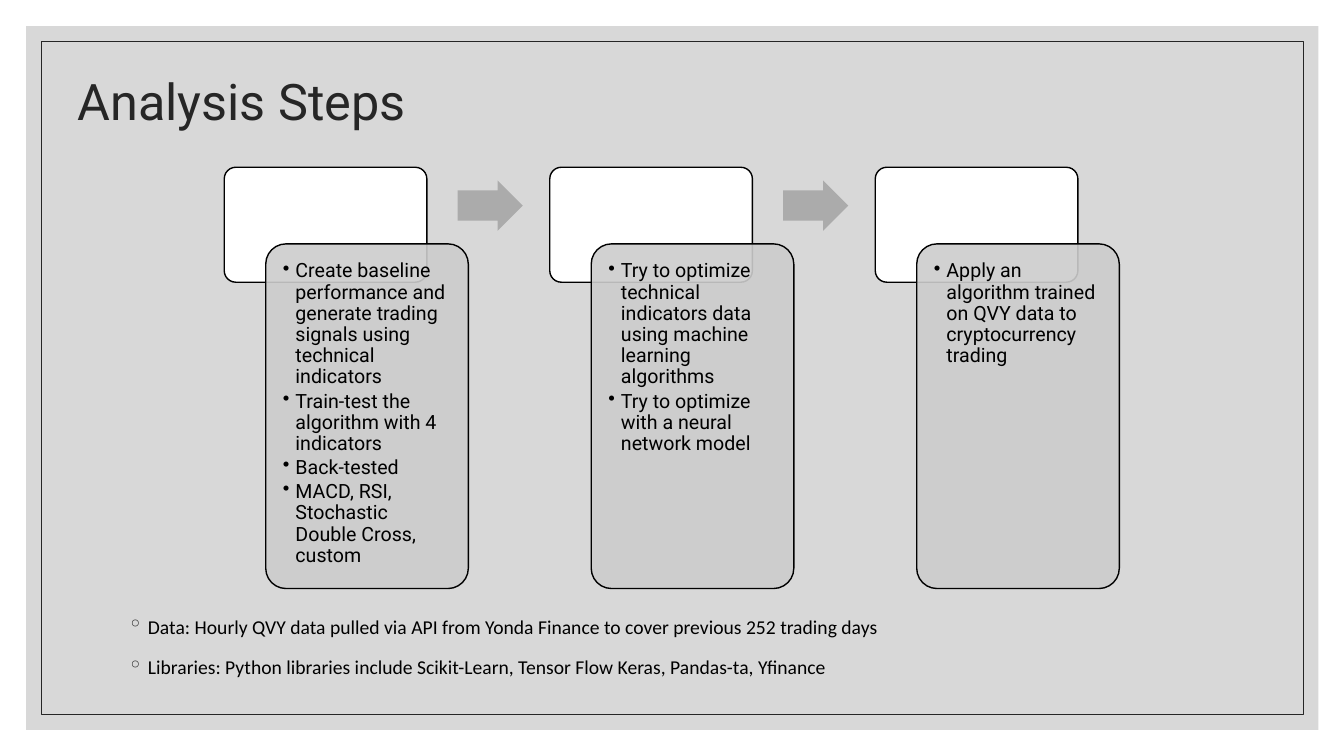
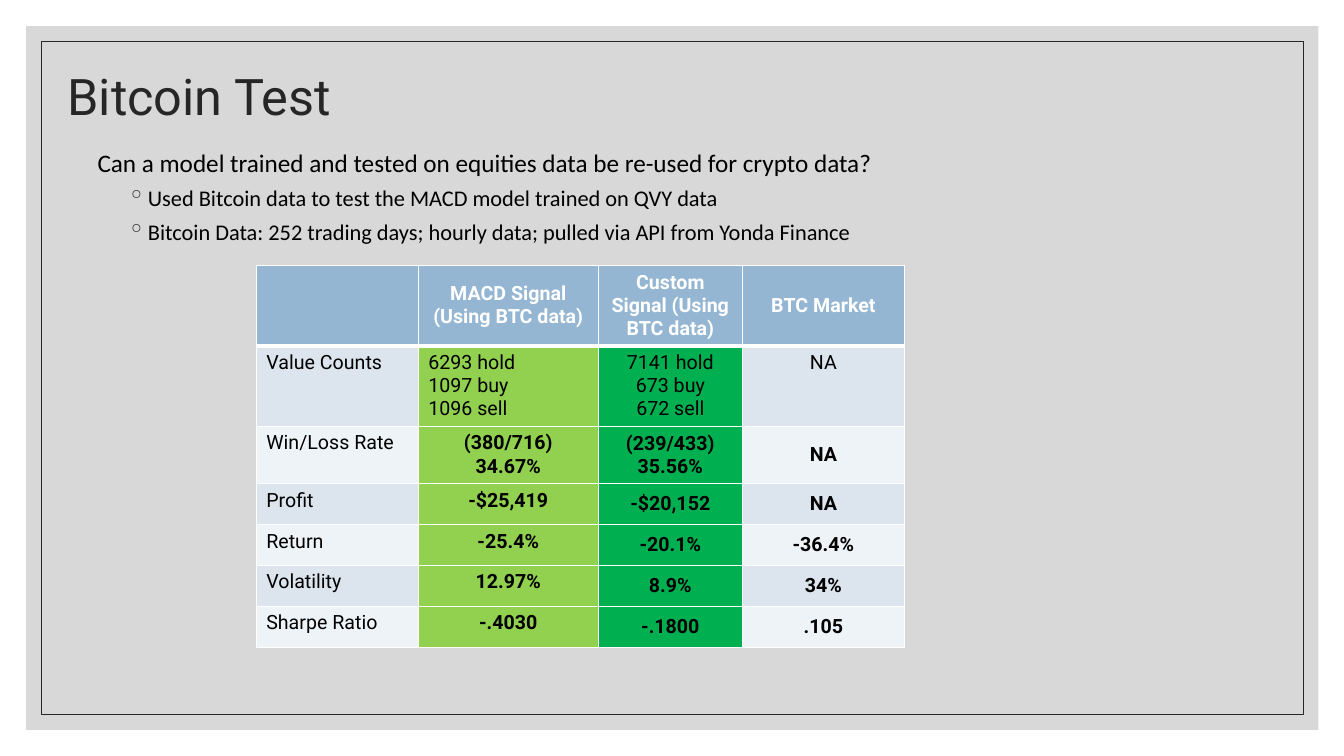
import pptx
import pptx.chart.data
import pptx.dml.color
import pptx.enum.shapes
import pptx.enum.text
import pptx.oxml.ns
import pptx.util
from lxml import etree

Pt = pptx.util.Pt
qn = pptx.oxml.ns.qn
RGB = pptx.dml.color.RGBColor.from_string
SHAPE = pptx.enum.shapes.MSO_SHAPE
ALIGN = pptx.enum.text.PP_ALIGN
ANCHOR = pptx.enum.text.MSO_ANCHOR

COLORS = {
    "black": "000000",
    "white": "FFFFFF",
    "ink": "262626",
    "backdrop": "BFBFBF",
    "detail": "CCCCCC",
    "arrow": "ABABAB",
    "header": "94B6D2",
    "band_dark": "DCE5EE",
    "band_light": "EEF3F7",
    "macd": "92D050",
    "custom": "00B050",
}


def add_panel(slide, preset, left, top, width, height, fill=None, line=None, weight=1, opacity=100):
    panel = slide.shapes.add_shape(preset, Pt(left), Pt(top), Pt(width), Pt(height))
    panel.shadow.inherit = False
    if fill:
        panel.fill.solid()
        panel.fill.fore_color.rgb = RGB(COLORS[fill])
        if opacity < 100:
            tint = panel.element.spPr.find(qn("a:solidFill"))[0]
            etree.SubElement(tint, qn("a:alpha"), val=str(opacity * 1000))
    else:
        panel.fill.background()
    if line:
        panel.line.color.rgb = RGB(COLORS[line])
        panel.line.width = Pt(weight)
    else:
        panel.line.fill.background()
    return panel


def write_line(frame, text, font, size, spacing, before=0, after=0, mark=None, margin=0, hanging=0, mark_color="ink"):
    line = frame.paragraphs[0] if not frame.text else frame.add_paragraph()
    line.text = text
    line.alignment = ALIGN.LEFT
    line.line_spacing = spacing
    line.space_before = Pt(before)
    line.space_after = Pt(after)
    if mark:
        properties = line._p.get_or_add_pPr()
        properties.set("marL", str(Pt(margin)))
        properties.set("indent", str(-Pt(hanging)))
        mark_fill = etree.SubElement(properties, qn("a:buClr"))
        etree.SubElement(mark_fill, qn("a:srgbClr"), val=COLORS[mark_color])
        etree.SubElement(properties, qn("a:buChar"), char=mark)
    line.font.name = font
    line.font.size = Pt(size)
    line.font.color.rgb = RGB(COLORS["black"])


prs = pptx.Presentation()
prs.slide_width = Pt(960)
prs.slide_height = Pt(540)

slides = []
for heading, left, top in [("Analysis Steps", 48.2, 20.2), ("Bitcoin Test", 41, 16.6)]:
    slide = prs.slides.add_slide(prs.slide_layouts[5])
    title = slide.shapes.title
    title.left, title.top, title.width, title.height = Pt(left), Pt(top), Pt(792), Pt(108)
    title.text_frame.text = heading
    title.text_frame.vertical_anchor = ANCHOR.MIDDLE
    title_line = title.text_frame.paragraphs[0]
    title_line.alignment = ALIGN.LEFT
    title_line.line_spacing = 0.9
    title_line.font.name = "Roboto"
    title_line.font.size = Pt(36)
    title_line.font.color.rgb = RGB(COLORS["ink"])
    slides.append(slide)
steps_slide, test_slide = slides

backdrop = add_panel(steps_slide, SHAPE.RECTANGLE, 18.7, 18.7, 923, 502.6, fill="backdrop", opacity=60)
border = add_panel(steps_slide, SHAPE.RECTANGLE, 29.5, 29.5, 901.4, 481, line="ink", weight=0.5)
for depth, panel in enumerate([backdrop, border]):
    panel.element.nvSpPr.cNvPr.set("id", str(100 + depth))
    prs.slide_master.shapes.element.insert(2 + depth, panel.element)

steps = [
    [
        "Create baseline performance and generate trading signals using technical indicators",
        "Train-test the algorithm with 4 indicators",
        "Back-tested",
        "MACD, RSI, Stochastic Double Cross, custom",
    ],
    [
        "Try to optimize technical indicators data using machine learning algorithms",
        "Try to optimize with a neural network model",
    ],
    ["Apply an algorithm trained on QVY data to cryptocurrency trading"],
]
step_left, step_pitch = 160.2, 232.5
for number, points in enumerate(steps):
    left = step_left + number * step_pitch
    header = add_panel(steps_slide, SHAPE.ROUNDED_RECTANGLE, left, 119.5, 144.7, 82.1, "white", "black")
    detail = add_panel(
        steps_slide, SHAPE.ROUNDED_RECTANGLE, left + 29.6, 174.2, 144.7, 246.2, "detail", "black", opacity=90
    )
    header.adjustments[0] = detail.adjustments[0] = 0.1
    frame = detail.text_frame
    frame.word_wrap = True
    frame.vertical_anchor = ANCHOR.TOP
    frame.margin_left = frame.margin_top = frame.margin_right = frame.margin_bottom = Pt(8)
    for point in points:
        write_line(frame, point, "Roboto", 14, 0.9, after=2.1, mark="•", margin=9, hanging=9, mark_color="black")
    if number < len(steps) - 1:
        arrow = add_panel(steps_slide, SHAPE.RIGHT_ARROW, left + 166.7, 128.9, 46.6, 36, "arrow")
        arrow.adjustments[0] = 0.6

sources = steps_slide.shapes.add_textbox(Pt(84.2), Pt(432), Pt(792), Pt(74)).text_frame
sources.word_wrap = True
for text in [
    "Data: Hourly QVY data pulled via API from Yonda Finance to cover previous 252 trading days",
    "Libraries: Python libraries include Scikit-Learn, Tensor Flow Keras, Pandas-ta, Yfinance",
]:
    write_line(sources, text, "Calibri", 14, 1.2, before=9, mark="◦", margin=14.4, hanging=14.4)

question = test_slide.shapes.add_textbox(Pt(62.6), Pt(97.2), Pt(792), Pt(108)).text_frame
question.word_wrap = True
write_line(
    question, "Can a model trained and tested on equities data be re-used for crypto data?", "Calibri", 18, 1.2, before=9
)
for text in [
    "Used Bitcoin data to test the MACD model trained on QVY data",
    "Bitcoin Data: 252 trading days; hourly data; pulled via API from Yonda Finance",
]:
    write_line(question, text, "Calibri", 16, 1.0, before=5, mark="◦", margin=36, hanging=14.4)

results = [
    ["", "MACD Signal (Using BTC data)", "Custom Signal (Using BTC data)", "BTC Market"],
    ["Value Counts", "6293 hold\n1097 buy\n1096 sell", "7141 hold\n673 buy\n672 sell", "NA"],
    ["Win/Loss Rate", "(380/716)\n34.67%", "(239/433)\n35.56%", "NA"],
    ["Profit", "-$25,419", "-$20,152", "NA"],
    ["Return", "-25.4%", "-20.1%", "-36.4%"],
    ["Volatility", "12.97%", "8.9%", "34%"],
    ["Sharpe Ratio", "-.4030", "-.1800", ".105"],
]
column_widths = [115.8, 128.6, 102.9, 115.8]
row_heights = [56.6, 56.6, 40.2] + [29.2] * 4
table = test_slide.shapes.add_table(
    len(results), len(column_widths), Pt(183), Pt(189.4), Pt(sum(column_widths)), Pt(sum(row_heights))
).table
for column, width in zip(table.columns, column_widths):
    column.width = Pt(width)
for row, height in zip(table.rows, row_heights):
    row.height = Pt(height)

signal_fills = {1: "macd", 2: "custom"}
for r, values in enumerate(results):
    for c, value in enumerate(values):
        cell = table.cell(r, c)
        for side in "LRTB":
            thick = (r, side) in [(0, "B"), (1, "T")]
            edge = etree.SubElement(cell._tc.get_or_add_tcPr(), qn("a:ln" + side), w=str(Pt(3 if thick else 1)))
            edge_fill = etree.SubElement(edge, qn("a:solidFill"))
            etree.SubElement(edge_fill, qn("a:srgbClr"), val=COLORS["white"])
        band = "band_dark" if r % 2 else "band_light"
        cell.fill.solid()
        cell.fill.fore_color.rgb = RGB(COLORS["header" if r == 0 else signal_fills.get(c, band)])
        centred_row = r == 0 or (r > 1 and c > 1)
        cell.vertical_anchor = ANCHOR.MIDDLE if centred_row else ANCHOR.TOP
        cell.text_frame.text = value
        for line in cell.text_frame.paragraphs:
            line.alignment = ALIGN.LEFT if c == 0 or (r, c) == (1, 1) else ALIGN.CENTER
            line.font.name = "Roboto"
            line.font.size = Pt(14)
            line.font.bold = r == 0 or (r > 1 and c > 0)
            line.font.color.rgb = RGB(COLORS["white" if r == 0 else "black"])

prs.save("out.pptx")
